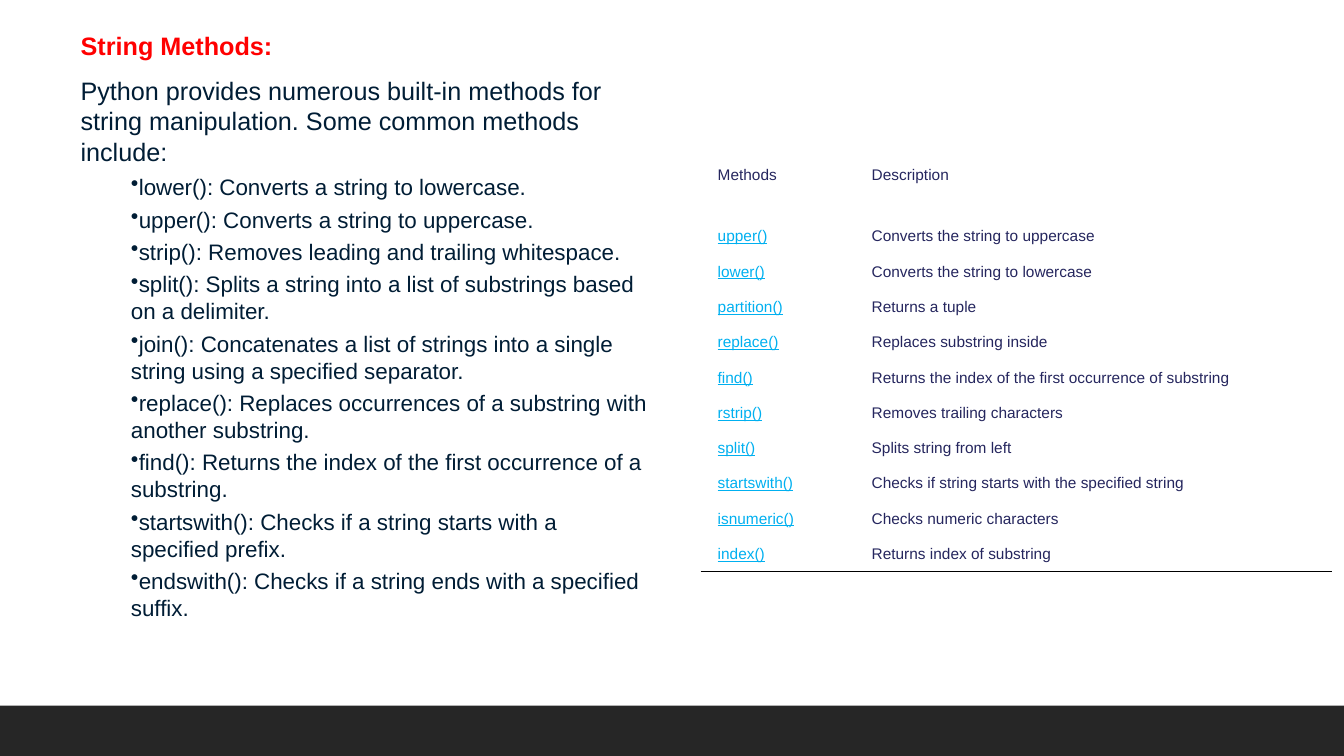
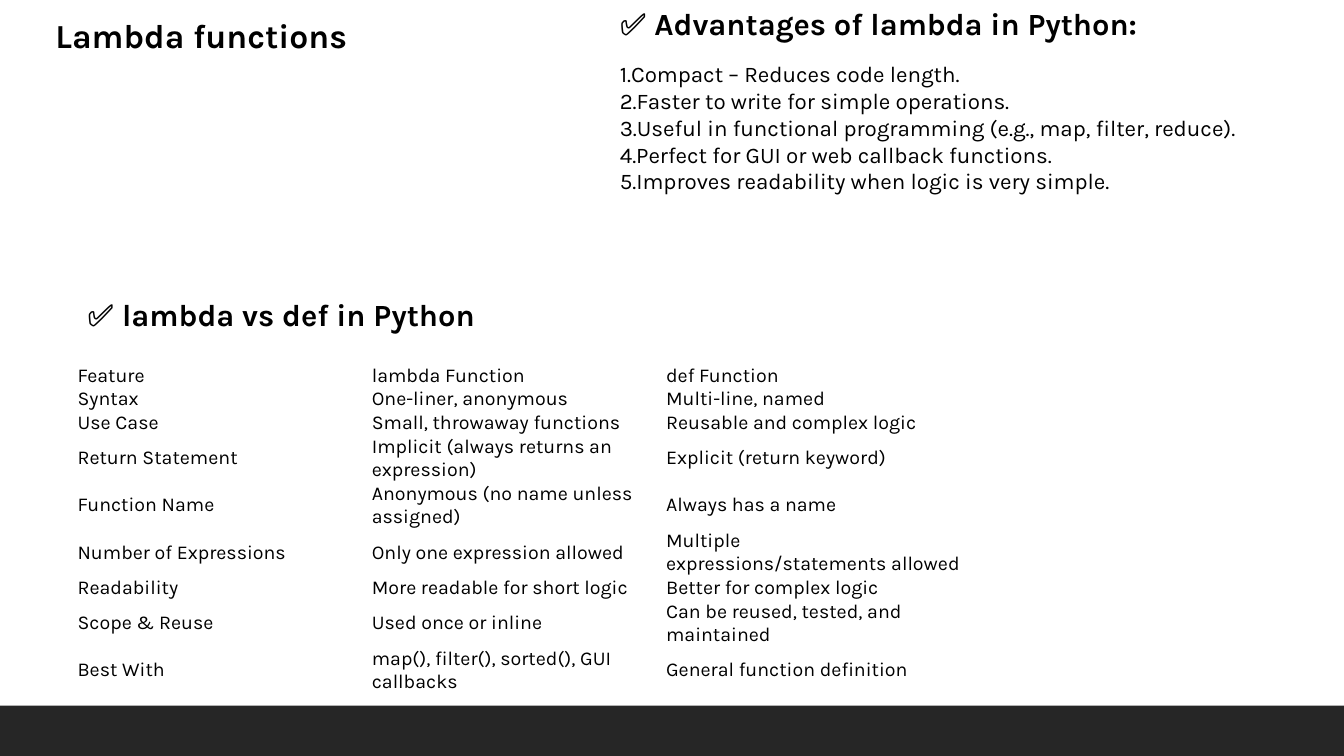
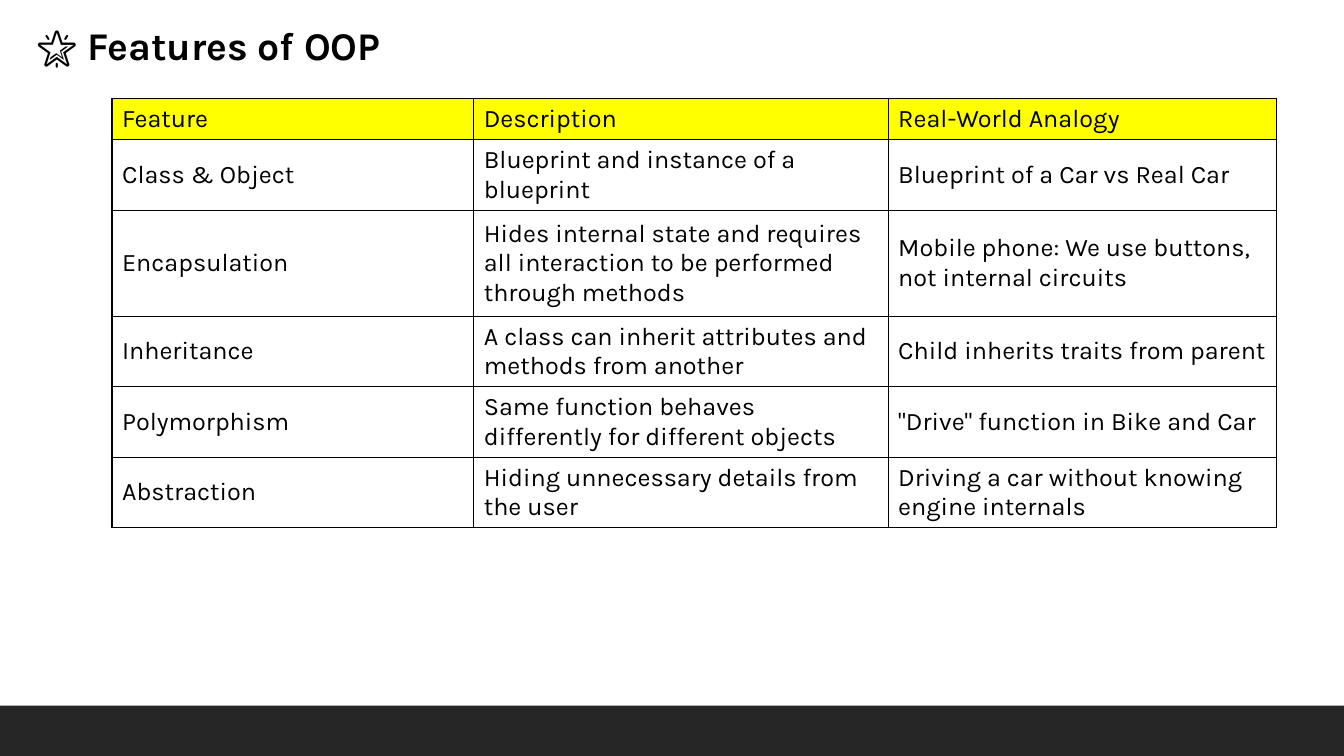
import pptx
import pptx.dml.color
import pptx.enum.shapes
import pptx.enum.text
import pptx.oxml.ns
import pptx.util
from lxml import etree

COLUMNS, ROWS = 48, 27
SLIDE_WIDTH = pptx.util.Inches(13.33)
SLIDE_HEIGHT = pptx.util.Inches(7.5)
TITLE_ONLY = 5
PLAIN_TABLE_STYLE = "{2D5ABB26-0587-4C30-8999-92F81FD0307C}"

BLACK, WHITE, BAND = "000000", "FFFFFF", "262626"
RED, NAVY, INDIGO, SKY, YELLOW = "FF0000", "001D35", "25265E", "00B0F0", "FFFF00"


def color(hex_string):
    return pptx.dml.color.RGBColor.from_string(hex_string)


def across(columns):
    return round(SLIDE_WIDTH * columns / COLUMNS)


def down(rows):
    return round(SLIDE_HEIGHT * rows / ROWS)


def add_xml(parent, tag, **attributes):
    return etree.SubElement(parent, pptx.oxml.ns.qn(tag), attributes)


class Deck:
    """Holds the shared style and the current slide; lengths are grid columns and rows."""

    def __init__(self):
        self.presentation = pptx.Presentation()
        self.presentation.slide_width = SLIDE_WIDTH
        self.presentation.slide_height = SLIDE_HEIGHT
        self.layout = self.presentation.slide_layouts[TITLE_ONLY]
        self.slide = None
        self.font = "Karla"

    def new_slide(self, font):
        self.font = font
        first = self.slide is None
        self.slide = self.presentation.slides.add_slide(self.layout)
        if first:
            self.add_band_to_layout()

    def add_band_to_layout(self):
        fill = self.layout.background.fill
        fill.solid()
        fill.fore_color.rgb = color(WHITE)
        band = self.slide.shapes.add_shape(
            pptx.enum.shapes.MSO_SHAPE.RECTANGLE,
            0, down(25.2), SLIDE_WIDTH, down(1.8))
        band.shadow.inherit = False
        band.fill.solid()
        band.fill.fore_color.rgb = color(BAND)
        band.line.fill.background()
        self.layout.shapes.element.insert(2, band.element)

    def style(self, paragraph, size, ink=BLACK, bold=False, underline=False):
        paragraph.alignment = pptx.enum.text.PP_ALIGN.LEFT
        for run in paragraph.runs:
            run.font.name = self.font
            run.font.size = pptx.util.Pt(size)
            run.font.color.rgb = color(ink)
            run.font.bold = bold
            run.font.underline = underline

    def title(self, text, left, top, width, height, size, ink=BLACK):
        title = self.slide.shapes.title
        title.left, title.top = across(left), down(top)
        title.width, title.height = across(width), down(height)
        frame = title.text_frame
        frame.text = text
        frame.word_wrap = True
        frame.auto_size = pptx.enum.text.MSO_AUTO_SIZE.NONE
        frame.vertical_anchor = pptx.enum.text.MSO_ANCHOR.TOP
        self.style(frame.paragraphs[0], size, ink, bold=True)

    def text_box(self, left, top, width, height):
        box = self.slide.shapes.add_textbox(
            across(left), down(top), across(width), down(height))
        box.text_frame.word_wrap = True
        return box.text_frame

    def lead(self, frame, text, size, ink=BLACK, bold=False, after=0):
        """Fill the first paragraph of a text frame."""
        paragraph = frame.paragraphs[0]
        paragraph.text = text
        paragraph.space_after = pptx.util.Pt(after)
        self.style(paragraph, size, ink, bold)

    def bullets(self, frame, items, size, ink=BLACK, numbered=False, indent=0, after=0):
        for item in items:
            paragraph = frame.add_paragraph()
            paragraph.text = item
            properties = paragraph._p.get_or_add_pPr()
            properties.set("marL", str(across(indent)))
            properties.set("indent", "0")
            if numbered:
                add_xml(properties, "a:buAutoNum", type="arabicPeriod")
            else:
                add_xml(properties, "a:buChar", char="•")
            paragraph.space_after = pptx.util.Pt(after)
            self.style(paragraph, size, ink)

    def table(self, records, left, top, widths, heights, size, ink=BLACK, margins=None):
        shape = self.slide.shapes.add_table(
            len(records), len(widths), across(left), down(top),
            across(sum(widths)), down(sum(heights)))
        shape.element.find(".//" + pptx.oxml.ns.qn("a:tableStyleId")).text = PLAIN_TABLE_STYLE
        table = shape.table
        table.first_row = table.horz_banding = False
        for column, width in zip(table.columns, widths):
            column.width = across(width)
        for row, height, record in zip(table.rows, heights, records):
            row.height = down(height)
            for cell, text in zip(row.cells, record):
                cell.text = text
                cell.vertical_anchor = pptx.enum.text.MSO_ANCHOR.MIDDLE
                if margins:
                    side, edge = map(pptx.util.Inches, margins)
                    cell.margin_left = cell.margin_right = side
                    cell.margin_top = cell.margin_bottom = edge
                cell.fill.background()
                self.style(cell.text_frame.paragraphs[0], size, ink)
        return table

    def borders(self, cells, sides, width):
        for cell in cells:
            properties = cell._tc.get_or_add_tcPr()
            for position, side in enumerate(sides):
                line = add_xml(properties, "a:ln" + side, w=str(pptx.util.Pt(width)))
                add_xml(add_xml(line, "a:solidFill"), "a:srgbClr", val=BLACK)
                properties.insert(position, line)


def string_methods(deck):
    deck.new_slide("Arial")
    deck.title("String Methods:", 2.52, 0.9, 21, 1.4, 18, RED)
    frame = deck.text_box(2.52, 2.52, 21, 20)
    deck.lead(frame, "Python provides numerous built-in methods for string manipulation."
              " Some common methods include:", 18, NAVY, after=5)
    deck.bullets(frame, [
        "lower(): Converts a string to lowercase.",
        "upper(): Converts a string to uppercase.",
        "strip(): Removes leading and trailing whitespace.",
        "split(): Splits a string into a list of substrings based on a delimiter.",
        "join(): Concatenates a list of strings into a single string using a specified separator.",
        "replace(): Replaces occurrences of a substring with another substring.",
        "find(): Returns the index of the first occurrence of a substring.",
        "startswith(): Checks if a string starts with a specified prefix.",
        "endswith(): Checks if a string ends with a specified suffix.",
    ], 16, NAVY, indent=1.8, after=4)
    methods = [
        ("Methods", "Description"),
        ("upper()", "Converts the string to uppercase"),
        ("lower()", "Converts the string to lowercase"),
        ("partition()", "Returns a tuple"),
        ("replace()", "Replaces substring inside"),
        ("find()", "Returns the index of the first occurrence of substring"),
        ("rstrip()", "Removes trailing characters"),
        ("split()", "Splits string from left"),
        ("startswith()", "Checks if string starts with the specified string"),
        ("isnumeric()", "Checks numeric characters"),
        ("index()", "Returns index of substring"),
    ]
    table = deck.table(methods, 25.02, 4.72, [5.5, 17.07], [3.1] + [1.26] * 10,
                       11, INDIGO, margins=(0.17, 0.08))
    for row in range(1, len(methods)):
        deck.style(table.cell(row, 0).text_frame.paragraphs[0], 11, SKY, underline=True)
    deck.borders(table.rows[len(methods) - 1].cells, "B", 0.75)


def lambda_functions(deck):
    deck.new_slide("Karla")
    deck.title("Lambda functions", 1.62, 0.36, 16, 1.8, 24)
    deck.lead(deck.text_box(2.77, 10.4, 15.26, 1.7),
              "✅ lambda vs def in Python", 22, bold=True)
    deck.table([
        ("Feature", "lambda Function", "def Function"),
        ("Syntax", "One-liner, anonymous", "Multi-line, named"),
        ("Use Case", "Small, throwaway functions", "Reusable and complex logic"),
        ("Return Statement", "Implicit (always returns an expression)",
         "Explicit (return keyword)"),
        ("Function Name", "Anonymous (no name unless assigned)", "Always has a name"),
        ("Number of Expressions", "Only one expression allowed",
         "Multiple expressions/statements allowed"),
        ("Readability", "More readable for short logic", "Better for complex logic"),
        ("Scope & Reuse", "Used once or inline", "Can be reused, tested, and maintained"),
        ("Best With", "map(), filter(), sorted(), GUI callbacks",
         "General function definition"),
    ], 2.77, 13, [10.51] * 3, [0.83] * 9, 14, margins=(0, 0))
    frame = deck.text_box(21.78, 0, 26.22, 7.45)
    deck.lead(frame, "✅ Advantages of lambda in Python:", 22, bold=True, after=13)
    deck.bullets(frame, [
        "Compact – Reduces code length.",
        "Faster to write for simple operations.",
        "Useful in functional programming (e.g., map, filter, reduce).",
        "Perfect for GUI or web callback functions.",
        "Improves readability when logic is very simple.",
    ], 16, numbered=True)


def oop_features(deck):
    deck.new_slide("Karla")
    deck.title("🌟 Features of OOP", 0.94, 0.58, 20, 2.05, 28)
    table = deck.table([
        ("Feature", "Description", "Real-World Analogy"),
        ("Class & Object", "Blueprint and instance of a blueprint",
         "Blueprint of a Car vs Real Car"),
        ("Encapsulation",
         "Hides internal state and requires all interaction to be performed through methods",
         "Mobile phone: We use buttons, not internal circuits"),
        ("Inheritance", "A class can inherit attributes and methods from another",
         "Child inherits traits from parent"),
        ("Polymorphism", "Same function behaves differently for different objects",
         "\"Drive\" function in Bike and Car"),
        ("Abstraction", "Hiding unnecessary details from the user",
         "Driving a car without knowing engine internals"),
    ], 4, 3.53, [12.92, 14.8, 13.86], [1.46, 2.52, 3.78, 2.52, 2.52, 2.52], 18)
    deck.borders(table.iter_cells(), "LRTB", 1)
    for cell in table.rows[0].cells:
        cell.fill.solid()
        cell.fill.fore_color.rgb = color(YELLOW)


def main():
    deck = Deck()
    string_methods(deck)
    lambda_functions(deck)
    oop_features(deck)
    deck.presentation.save("out.pptx")


if __name__ == "__main__":
    main()
